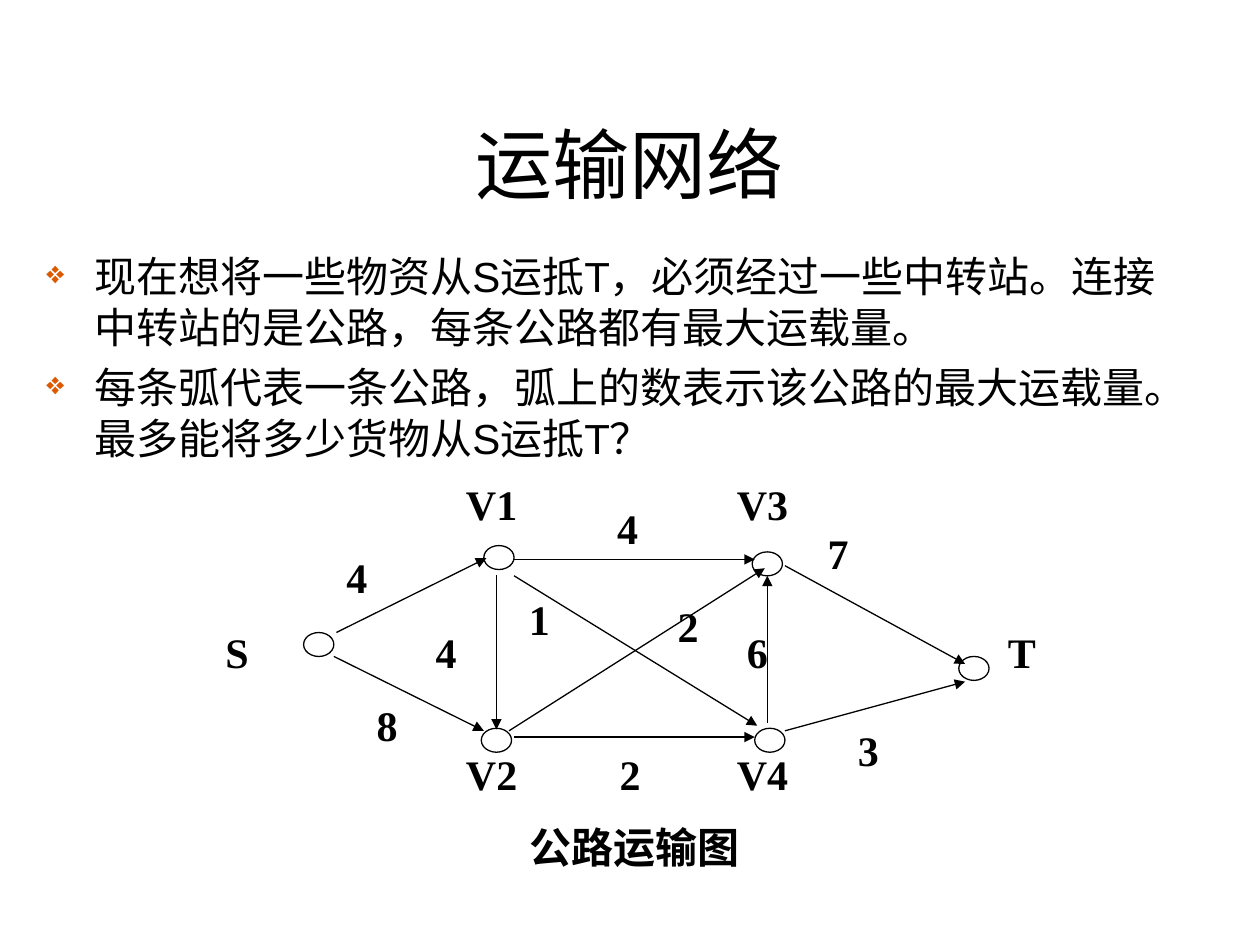
from lxml import etree
from pptx import Presentation
from pptx.dml.color import RGBColor
from pptx.enum import shapes, text
from pptx.oxml import ns
from pptx.util import Inches, Pt

BLACK = RGBColor(0x00, 0x00, 0x00)
WHITE = RGBColor(0xFF, 0xFF, 0xFF)
ORANGE = RGBColor(0xDC, 0x59, 0x00)

POINTS = [
    "现在想将一些物资从S运抵T，必须经过一些中转站。连接中转站的是公路，每条公路都有最大运载量。",
    "每条弧代表一条公路，弧上的数表示该公路的最大运载量。最多能将多少货物从S运抵T？",
]
STATIONS = [(2.41, 5.02), (3.84, 4.33), (3.82, 5.78),
            (5.97, 4.38), (5.99, 5.78), (7.61, 5.21)]
STATION_NAMES = [
    ("S", 1.69, 4.92), ("V1", 3.6, 3.75), ("V2", 3.6, 5.89),
    ("V3", 5.75, 3.75), ("V4", 5.75, 5.89), ("T", 7.9, 4.92),
]
ROADS = [
    (2.67, 5.02, 3.86, 4.43),
    (2.65, 5.21, 3.84, 5.8),
    (3.94, 4.56, 3.94, 5.79),
    (4.08, 4.44, 5.99, 4.44),
    (4.08, 5.85, 5.99, 5.85),
    (6.09, 5.74, 6.09, 4.57),
    (4.08, 4.57, 6.01, 5.76),
    (6.23, 4.49, 7.66, 5.27),
    (6.23, 5.8, 7.66, 5.41),
    (4.04, 5.8, 6.07, 4.51),
]
CAPACITIES = [
    ("4", 2.65, 4.33), ("8", 2.89, 5.5), ("4", 3.36, 4.92),
    ("4", 4.8, 3.94), ("2", 4.82, 5.89), ("6", 5.83, 4.92),
    ("1", 4.1, 4.66), ("7", 6.47, 4.14), ("3", 6.71, 5.7),
    ("2", 5.28, 4.72),
]


def format_font(paragraph, name, size, bold=False):
    font = paragraph.font
    font.name = name
    font.size = Pt(size)
    font.bold = bold
    font.color.rgb = BLACK


def add_child(parent, tag, **attributes):
    return etree.SubElement(parent, ns.qn(tag), attributes)


def add_bullet(paragraph):
    properties = paragraph._p.get_or_add_pPr()
    properties.set("marL", str(Inches(0.38)))
    properties.set("indent", str(-Inches(0.38)))
    add_child(add_child(properties, "a:buClr"), "a:srgbClr", val=str(ORANGE))
    add_child(properties, "a:buSzPct", val="75000")
    add_child(properties, "a:buChar", char="❖")


def add_title(slide, words):
    title = slide.shapes.title
    title.left, title.top = Inches(0.33), Inches(0.67)
    title.width, title.height = Inches(9.34), Inches(1.25)
    title.text_frame.text = words
    title.text_frame.vertical_anchor = text.MSO_ANCHOR.MIDDLE
    paragraph = title.text_frame.paragraphs[0]
    paragraph.alignment = text.PP_ALIGN.CENTER
    format_font(paragraph, "Arial", 44)


def add_points(slide, points):
    box = slide.shapes.add_textbox(Inches(0.27), Inches(1.94), Inches(9.29), Inches(1.89))
    frame = box.text_frame
    frame.word_wrap = True
    frame.text = "\n".join(points)
    for index, paragraph in enumerate(frame.paragraphs):
        if index:
            paragraph.space_before = Pt(6)
        add_bullet(paragraph)
        format_font(paragraph, "Arial", 24)


def add_label(slide, words, left, top, width=0.8, alignment=text.PP_ALIGN.JUSTIFY):
    box = slide.shapes.add_textbox(Inches(left), Inches(top), Inches(width), Inches(0.58))
    box.text_frame.word_wrap = True
    box.text_frame.text = words
    paragraph = box.text_frame.paragraphs[0]
    paragraph.alignment = alignment
    format_font(paragraph, "Times New Roman", 24, bold=True)


def add_station(slide, left, top):
    shape = slide.shapes.add_shape(
        shapes.MSO_SHAPE.OVAL, Inches(left), Inches(top), Inches(0.24), Inches(0.19))
    shape.shadow.inherit = False
    shape.fill.solid()
    shape.fill.fore_color.rgb = WHITE
    shape.line.color.rgb = BLACK
    shape.line.width = Pt(0.75)


def add_road(slide, *ends):
    road = slide.shapes.add_connector(
        shapes.MSO_CONNECTOR.STRAIGHT, *[Inches(end) for end in ends])
    road.line.color.rgb = BLACK
    road.line.width = Pt(0.75)
    add_child(road.line._get_or_add_ln(), "a:tailEnd", type="triangle")
    add_child(road._element.spPr, "a:effectLst")


def main():
    presentation = Presentation()
    presentation.slide_width = Inches(10)
    presentation.slide_height = Inches(7.5)
    slide = presentation.slides.add_slide(presentation.slide_layouts[5])
    add_title(slide, "运输网络")
    add_points(slide, POINTS)
    for station in STATIONS:
        add_station(slide, *station)
    for road in ROADS:
        add_road(slide, *road)
    for label in STATION_NAMES + CAPACITIES:
        add_label(slide, *label)
    add_label(slide, "公路运输图", 3.6, 6.47, 2.87, text.PP_ALIGN.CENTER)
    presentation.save("out.pptx")


if __name__ == "__main__":
    main()
